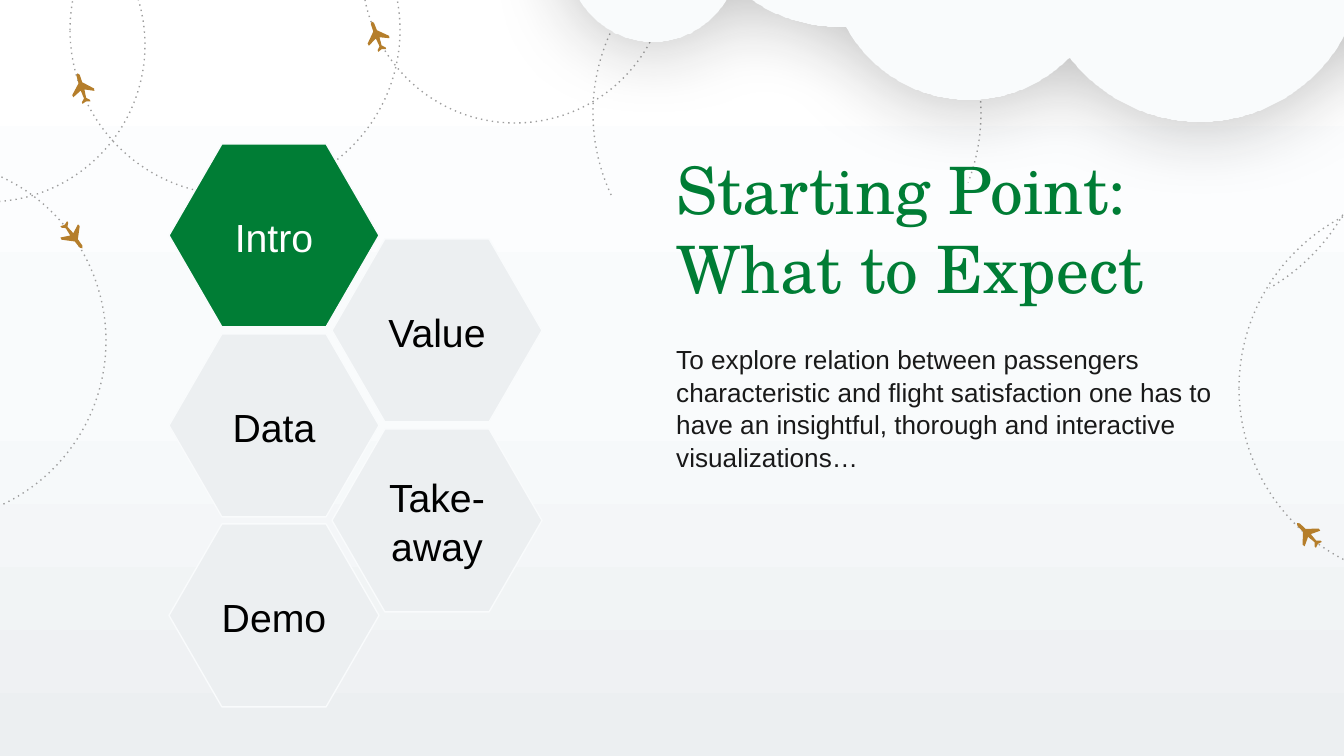
import copy
import math

import pptx
import pptx.dml.color
import pptx.enum.dml
import pptx.enum.shapes
import pptx.enum.text
import pptx.oxml.ns
import pptx.util
from lxml import etree

EMU_PER_PX = 914400 / 134.4
COLORS = {
    "white": "FFFFFF",
    "cloud": "F9FBFC",
    "mist": "ECEFF1",
    "route": "9E9E9E",
    "plane": "B57E2B",
    "green": "007D35",
    "ink": "191919",
    "black": "000000",
}
CIRCLES = [(235, 30, 165), (515, -30, 153), (1432, 388, 193), (-75, 341, 181)]
ARCS = [(-12, 45, 157, 337, 203), (1169, 114, 201, 194, 60), (787, 113, 194, 155, 21)]
PLANES = [(73, 236, 143), (377, 36, -20), (82, 88, -17), (1308, 534, -45)]
PLANE_HALF = [
    (0, -166), (-17, -145), (-19, -66), (-114, 28), (-110, 52),
    (-19, 9), (-11, 95), (-42, 124), (-42, 142), (0, 128),
]
CLOUD_PUFFS = [
    (653, -43, 85), (839, -127, 154), (969, -40, 140), (1200, -42, 164), (1404, -73, 122),
]
CLOUD_TOP = -300
STEPS = ["Intro", "Value", "Data", "Take-\vaway", "Demo"]


def px(value):
    return round(value * EMU_PER_PX)


def color(name):
    return pptx.dml.color.RGBColor.from_string(COLORS[name])


def fill_shape(shape, name):
    shape.shadow.inherit = False
    shape.fill.solid()
    shape.fill.fore_color.rgb = color(name)


def set_background(slide):
    fill = slide.background.fill
    fill.gradient()
    fill.gradient_angle = 270
    first = next(slide.element.iter(pptx.oxml.ns.qn("a:gs")))
    middle = copy.deepcopy(first)
    first.addnext(middle)
    stops = zip(fill.gradient_stops, (0, 0.5, 1), ("white", "cloud", "mist"))
    for stop, position, name in stops:
        stop.position = position
        stop.color.rgb = color(name)


def add_route(slide, preset, center_x, center_y, radius):
    shape = slide.shapes.add_shape(
        preset, px(center_x - radius), px(center_y - radius), px(2 * radius), px(2 * radius)
    )
    shape.shadow.inherit = False
    shape.fill.background()
    shape.line.color.rgb = color("route")
    shape.line.width = pptx.util.Pt(0.75)
    shape.line.dash_style = pptx.enum.dml.MSO_LINE.ROUND_DOT
    next(shape.element.iter(pptx.oxml.ns.qn("a:prstDash"))).set("val", "dot")
    return shape


def add_arc(slide, center_x, center_y, radius, start, end):
    shape = add_route(
        slide, pptx.enum.shapes.MSO_SHAPE.ARC, center_x, center_y, radius
    )
    for index, degrees in enumerate((start, end)):
        shape.adjustments[index] = degrees * 0.6


def add_outline(slide, points, scale, name):
    builder = slide.shapes.build_freeform(*points[0], scale=scale)
    builder.add_line_segments(points[1:], close=True)
    shape = builder.convert_to_shape()
    fill_shape(shape, name)
    shape.line.fill.background()
    return shape


def add_plane(slide, center_x, center_y, heading):
    points = PLANE_HALF + [(-x, y) for x, y in PLANE_HALF[-2:0:-1]]
    shape = add_outline(slide, points, EMU_PER_PX / 10, "plane")
    shape.left = px(center_x) - shape.width // 2
    shape.top = px(center_y) - shape.height // 2
    shape.rotation = heading


def cloud_edge(x):
    return max(
        center_y + math.sqrt(radius**2 - (x - center_x) ** 2)
        for center_x, center_y, radius in CLOUD_PUFFS
        if abs(x - center_x) <= radius
    )


def add_cloud(slide):
    left = CLOUD_PUFFS[0][0] - CLOUD_PUFFS[0][2]
    right = CLOUD_PUFFS[-1][0] + CLOUD_PUFFS[-1][2]
    edge = [(x, cloud_edge(x)) for x in range(left, right + 1, 2)]
    points = [(left, CLOUD_TOP), *edge, (right, CLOUD_TOP)]
    shape = add_outline(slide, points, EMU_PER_PX, "cloud")
    qn = pptx.oxml.ns.qn
    effects = next(shape.element.iter(qn("a:effectLst")))
    shadow = etree.SubElement(
        effects, qn("a:outerShdw"), blurRad=str(pptx.util.Pt(43.9)),
        dist=str(pptx.util.Pt(0.8)), dir="0", algn="bl", rotWithShape="0",
    )
    shadow_color = etree.SubElement(shadow, qn("a:srgbClr"), val=COLORS["ink"])
    etree.SubElement(shadow_color, qn("a:alpha"), val="31000")


def write_text(shape, text, size, font, name, anchor, line_spacing):
    frame = shape.text_frame
    frame.word_wrap = True
    frame.vertical_anchor = anchor
    frame.margin_left = frame.margin_right = pptx.util.Inches(0.1)
    frame.margin_top = frame.margin_bottom = pptx.util.Inches(0.1)
    paragraph = frame.paragraphs[0]
    paragraph.text = text
    paragraph.line_spacing = line_spacing
    paragraph.font.size = pptx.util.Pt(size)
    paragraph.font.name = font
    paragraph.font.color.rgb = color(name)
    return paragraph


def add_text(slide, top, height, *style):
    box = slide.shapes.add_textbox(px(663), px(top), px(577), px(height))
    write_text(box, *style)


def add_step(slide, index, text):
    shape = slide.shapes.add_shape(
        pptx.enum.shapes.MSO_SHAPE.HEXAGON,
        px(169 + 163 * (index % 2)), px(144 + 95 * index), px(210), px(183),
    )
    shape.adjustments[0] = 0.289
    active = index == 0
    fill_shape(shape, "green" if active else "mist")
    shape.line.color.rgb = color("cloud")
    shape.line.width = pptx.util.Pt(0.75)
    paragraph = write_text(
        shape, text, 21, "Arial", "white" if active else "black",
        pptx.enum.text.MSO_ANCHOR.MIDDLE, 1.04,
    )
    paragraph.alignment = pptx.enum.text.PP_ALIGN.CENTER


def main():
    presentation = pptx.Presentation()
    presentation.slide_width = px(1344)
    presentation.slide_height = px(756)
    slide = presentation.slides.add_slide(presentation.slide_layouts[6])
    set_background(slide)
    for circle in CIRCLES:
        add_route(slide, pptx.enum.shapes.MSO_SHAPE.OVAL, *circle)
    for arc in ARCS:
        add_arc(slide, *arc)
    for plane in PLANES:
        add_plane(slide, *plane)
    add_cloud(slide)
    add_text(
        slide, 329, 304,
        "To explore relation between passengers characteristic and flight satisfaction "
        "one has to have an insightful, thorough and interactive visualizations…",
        14, "Arial", "ink", pptx.enum.text.MSO_ANCHOR.TOP, 1.04,
    )
    add_text(
        slide, 235, 85, "Starting Point: What to Expect",
        35, "TeX Gyre Schola", "green", pptx.enum.text.MSO_ANCHOR.BOTTOM, 1.0,
    )
    for index, text in enumerate(STEPS):
        add_step(slide, index, text)
    presentation.save("out.pptx")


if __name__ == "__main__":
    main()
